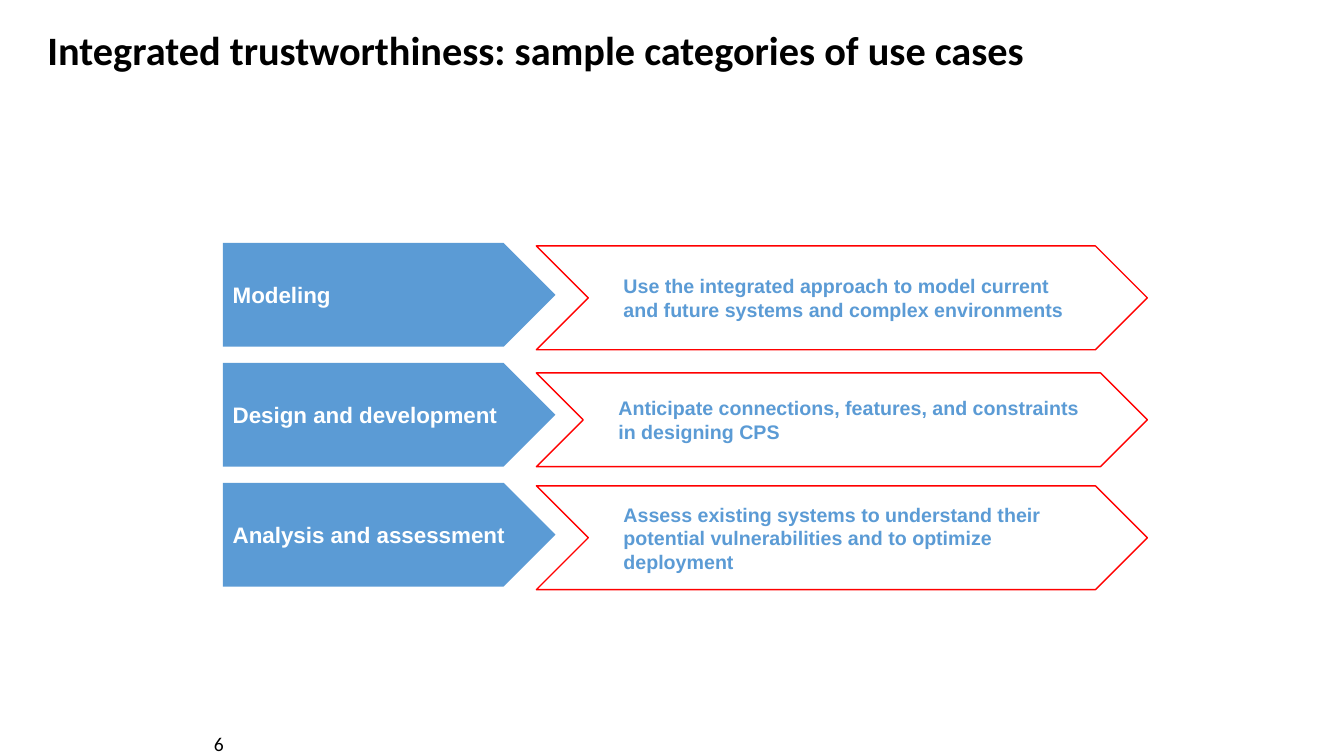
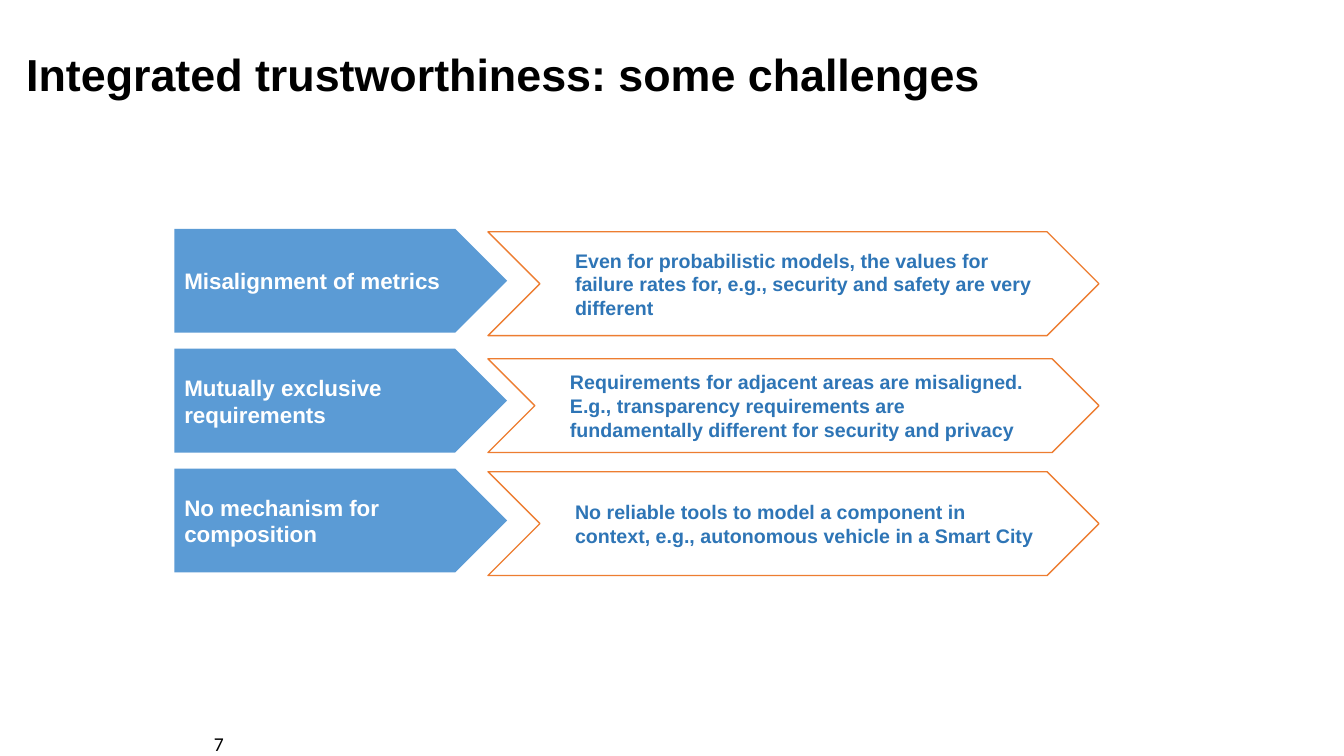
from dataclasses import dataclass

from pptx import Presentation
from pptx.dml.color import RGBColor
from pptx.enum.shapes import MSO_SHAPE
from pptx.enum.text import MSO_ANCHOR, MSO_AUTO_SIZE, PP_ALIGN
from pptx.shapes.autoshape import Shape
from pptx.slide import Slide
from pptx.text.text import TextFrame
from pptx.util import Inches, Pt

COLORS = {
    "black": "000000",
    "white": "FFFFFF",
    "blue": "5B9BD5",
    "dark blue": "2E75B6",
    "red": "FF0000",
    "orange": "ED7D31",
}
TITLE_ONLY_LAYOUT = 5

ROW_STEP = 1.19
ARROW_HEIGHT = 1.03
LABEL_WIDTH = 3.3
DETAIL_LEFT = 3.11  # from the left edge of the label
DETAIL_WIDTH = 6.06
DETAIL_DROP = 0.03
SLIM_DROP = 0.1  # a slim detail ends level with its label


@dataclass(frozen=True)
class Row:
    label: str
    detail: str
    slim: bool = False


@dataclass(frozen=True)
class Title:
    text: str
    box: tuple[float, float, float, float]
    font: str
    size: float


@dataclass(frozen=True)
class ArrowSlide:
    number: int
    title: Title
    left: float
    top: float
    outline: str
    detail_color: str
    rows: tuple[Row, ...]


SLIDES = (
    ArrowSlide(
        6,
        Title("Integrated trustworthiness: sample categories of use cases",
              (0.37, 0.25, 10.63, 0.54), "Calibri", 28.8),
        2.21, 2.41, "red", "blue",
        (
            Row("Modeling",
                "Use the integrated approach to model current and future "
                "systems and complex environments"),
            Row("Design and development",
                "Anticipate connections, features, and constraints in "
                "designing CPS", slim=True),
            Row("Analysis and assessment",
                "Assess existing systems to understand their potential "
                "vulnerabilities and to optimize deployment"),
        ),
    ),
    ArrowSlide(
        7,
        Title("Integrated trustworthiness: some challenges",
              (0.16, 0.22, 12.49, 1.08), "Arial", 32),
        1.73, 2.27, "orange", "dark blue",
        (
            Row("Misalignment of metrics",
                "Even for probabilistic models, the values for failure rates "
                "for, e.g., security and safety are very different"),
            Row("Mutually exclusive requirements",
                "Requirements for adjacent areas are misaligned. E.g., "
                "transparency requirements are fundamentally different for "
                "security and privacy", slim=True),
            Row("No mechanism for composition",
                "No reliable tools to model a component in context, e.g., "
                "autonomous vehicle in a Smart City"),
        ),
    ),
)


def rgb(name: str) -> RGBColor:
    return RGBColor.from_string(COLORS[name])


def write(frame: TextFrame, text: str, font: str, size: float, color: str,
          bold: bool = True, align: PP_ALIGN = PP_ALIGN.LEFT) -> None:
    """Fill a frame with one vertically centred paragraph."""
    frame.text = text
    frame.word_wrap = True
    frame.auto_size = MSO_AUTO_SIZE.NONE
    frame.vertical_anchor = MSO_ANCHOR.MIDDLE
    paragraph = frame.paragraphs[0]
    paragraph.alignment = align
    for run in paragraph.runs:
        run.font.name = font
        run.font.size = Pt(size)
        run.font.bold = bold
        run.font.color.rgb = rgb(color)


def add_title(slide: Slide, title: Title) -> None:
    shape = slide.shapes.title
    shape.left, shape.top, shape.width, shape.height = map(Inches, title.box)
    write(shape.text_frame, title.text, title.font, title.size, "black")
    shape.text_frame.paragraphs[0].line_spacing = 0.9


def add_slide_number(slide: Slide, number: int) -> None:
    box = slide.shapes.add_textbox(
        Inches(1.67), Inches(7.19), Inches(0.55), Inches(0.37))
    frame = box.text_frame
    frame.margin_left = frame.margin_right = 0
    frame.margin_top = frame.margin_bottom = 0
    write(frame, str(number), "Calibri", 14, "black", bold=False,
          align=PP_ALIGN.RIGHT)


def add_arrow(slide: Slide, kind: MSO_SHAPE, left: float, top: float,
              width: float, height: float, fill: str) -> Shape:
    shape = slide.shapes.add_shape(
        kind, Inches(left), Inches(top), Inches(width), Inches(height))
    shape.shadow.inherit = False
    shape.fill.solid()
    shape.fill.fore_color.rgb = rgb(fill)
    shape.line.fill.background()
    return shape


def add_row(slide: Slide, content: ArrowSlide, row: Row, top: float) -> None:
    label = add_arrow(slide, MSO_SHAPE.PENTAGON, content.left, top,
                      LABEL_WIDTH, ARROW_HEIGHT, "blue")
    write(label.text_frame, row.label, "Arial", 16, "white")

    drop = SLIM_DROP if row.slim else DETAIL_DROP
    height = ARROW_HEIGHT - SLIM_DROP if row.slim else ARROW_HEIGHT
    detail = add_arrow(slide, MSO_SHAPE.CHEVRON, content.left + DETAIL_LEFT,
                       top + drop, DETAIL_WIDTH, height, "white")
    detail.line.color.rgb = rgb(content.outline)
    detail.line.width = Pt(1)
    write(detail.text_frame, row.detail, "Arial", 14, content.detail_color)
    paragraph = detail.text_frame.paragraphs[0]
    paragraph.level = 1
    properties = paragraph._p.get_or_add_pPr()
    properties.set("marL", str(Inches(0.25)))
    properties.set("indent", "0")


def main() -> None:
    presentation = Presentation()
    presentation.slide_width = Inches(13.33)
    presentation.slide_height = Inches(7.5)
    layout = presentation.slide_layouts[TITLE_ONLY_LAYOUT]
    for content in SLIDES:
        slide = presentation.slides.add_slide(layout)
        add_slide_number(slide, content.number)
        add_title(slide, content.title)
        for index, row in enumerate(content.rows):
            add_row(slide, content, row, content.top + index * ROW_STEP)
    presentation.save("out.pptx")


if __name__ == "__main__":
    main()
